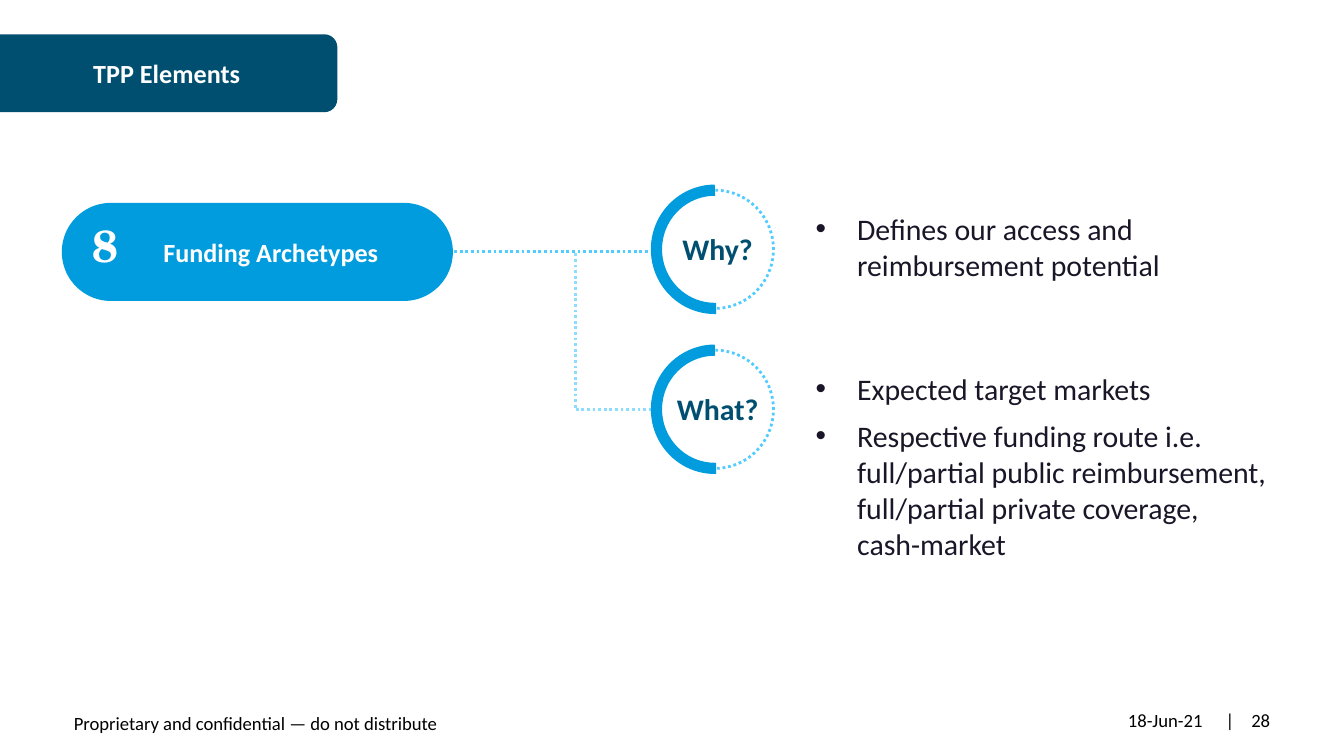
import pptx
import pptx.dml.color
import pptx.enum.dml
import pptx.enum.shapes
import pptx.enum.text
import pptx.oxml.ns
import pptx.util
from lxml import etree

PX = 4572  # EMU in one px, 200 px to the inch
COLOURS = {
    "navy": "004F71", "blue": "009CDE", "dots": "52CCFF", "pale dots": "8CDDFF",
    "ink": "1A1628", "black": "000000", "white": "FFFFFF",
}
SHAPE = pptx.enum.shapes.MSO_SHAPE
ALIGN = pptx.enum.text.PP_ALIGN
ANCHOR = pptx.enum.text.MSO_ANCHOR
AUTO_SIZE = pptx.enum.text.MSO_AUTO_SIZE
HANG = 62  # bullet indent


def emu(*lengths):
    return [pptx.util.Emu(length * PX) for length in lengths]


def rgb(colour):
    return pptx.dml.color.RGBColor.from_string(COLOURS[colour])


def add_child(parent, tag, **attributes):
    return etree.SubElement(parent, pptx.oxml.ns.qn(tag), **attributes)


def write(shape, *texts, size=16, colour="ink", font="Calibri", bold=False,
          align=ALIGN.LEFT, anchor=ANCHOR.TOP, insets=(20, 10, 20, 10),
          wrap=True, grow=False, bullet=False, space_after=0, tab=None):
    frame = shape.text_frame
    frame.word_wrap = wrap
    frame.auto_size = AUTO_SIZE.SHAPE_TO_FIT_TEXT if grow else AUTO_SIZE.NONE
    frame.vertical_anchor = anchor
    (frame.margin_left, frame.margin_top,
     frame.margin_right, frame.margin_bottom) = emu(*insets)
    for index, text in enumerate(texts):
        paragraph = frame.add_paragraph() if index else frame.paragraphs[0]
        paragraph.alignment = align
        paragraph.space_after = pptx.util.Pt(space_after)
        properties = paragraph._p.get_or_add_pPr()
        if bullet:
            properties.set("marL", str(HANG * PX))
            properties.set("indent", str(-HANG * PX))
            add_child(properties, "a:buFont", typeface="Arial")
            add_child(properties, "a:buChar", char="•")
        if tab:
            stops = add_child(properties, "a:tabLst")
            add_child(stops, "a:tab", pos=str(tab * PX), algn="l")
        run = paragraph.add_run()
        run.text = text
        run.font.name = font
        run.font.size = pptx.util.Pt(size)
        run.font.bold = bold
        run.font.color.rgb = rgb(colour)


def add_text(slide, box, *texts, **text_format):
    write(slide.shapes.add_textbox(*emu(*box)), *texts, **text_format)


def style_line(line, colour, width=1.5, dotted=True):
    line.color.rgb = rgb(colour)
    line.width = pptx.util.Pt(width)
    if dotted:
        line.dash_style = pptx.enum.dml.MSO_LINE.ROUND_DOT


def add_shape(shapes, preset, box, fill):
    shape = shapes.add_shape(preset, *emu(*box))
    shape.shadow.inherit = False
    shape.fill.solid()
    shape.fill.fore_color.rgb = rgb(fill)
    shape.line.fill.background()
    return shape


def add_dotted_connector(slide, start, end, colour, bent=False):
    kinds = pptx.enum.shapes.MSO_CONNECTOR
    kind = kinds.ELBOW if bent else kinds.STRAIGHT
    connector = slide.shapes.add_connector(kind, *emu(*start, *end))
    style_line(connector.line, colour)
    properties = connector._element.spPr
    add_child(properties, "a:effectLst")
    if bent:  # a single corner
        geometry = properties.find(pptx.oxml.ns.qn("a:prstGeom"))
        geometry.set("prst", "bentConnector2")


def build_title_tab(slide, box, title):
    left, top, width, height = box
    # The upright shape is turned so that its round corners face right
    shift = (width - height) // 2
    shape = add_shape(slide.shapes, SHAPE.ROUND_2_SAME_RECTANGLE,
                      (left + shift, top - shift, height, width), "navy")
    shape.rotation = 90
    write(shape, title, size=14, colour="white", bold=True,
          align=ALIGN.CENTER, anchor=ANCHOR.MIDDLE)
    shape.text_frame._txBody.bodyPr.set("vert", "vert270")


def build_element_pill(slide, box, number, name):
    left, top, _, _ = box
    pill = add_shape(slide.shapes, SHAPE.ROUNDED_RECTANGLE, box, "blue")
    pill.adjustments[0] = 0.5
    write(pill, name, size=14, colour="white", bold=True, align=ALIGN.CENTER,
          anchor=ANCHOR.MIDDLE, insets=(60, 10, 20, 10))
    add_text(slide, (left + 26, top + 12, 86, 100), number, size=24,
             font="TeX Gyre Schola", colour="white", bold=True,
             anchor=ANCHOR.MIDDLE, wrap=False, grow=True)


def build_question(slide, box, question, answers, space_after=0):
    left, top, width, height = box
    ring = (left, top, 176, 174)
    # Ring: white disc, dotted circle and thick left half
    group = slide.shapes.add_group_shape().shapes
    disc = add_shape(group, SHAPE.OVAL, (left + 14, top + 14, 148, 146), "white")
    circle = add_shape(group, SHAPE.OVAL, ring, "white")
    style_line(circle.line, "dots")
    arc = add_shape(group, SHAPE.ARC, ring, "white")
    arc.adjustments[0] = 107.3
    arc.adjustments[1] = 0
    style_line(arc.line, "blue", width=6, dotted=False)
    for part in (disc, circle, arc):
        part.rotation = 270
    # Question and its answers
    add_text(slide, (left + 2, top + 50, 180, 74), question, colour="navy",
             bold=True, align=ALIGN.CENTER, grow=True)
    add_text(slide, (left + 218, top + 20, width - 218, height - 20), *answers,
             bullet=True, space_after=space_after, grow=True)


def build_footer(slide, box, notice, date, page):
    left, top, width, height = box
    small = {"size": 10, "colour": "black"}
    add_text(slide, (left, top + 12, 668, 48), notice, anchor=ANCHOR.BOTTOM,
             insets=(0, 10, 0, 10), **small)
    add_text(slide, (left + width - 262, top, 172, height), date,
             align=ALIGN.CENTER, anchor=ANCHOR.MIDDLE, **small)
    add_text(slide, (left + width - 124, top, 124, height), f"|\t{page}",
             anchor=ANCHOR.MIDDLE, insets=(38, 10, 0, 10), tab=38, **small)


def main():
    presentation = pptx.Presentation()
    presentation.slide_width, presentation.slide_height = emu(2000, 1125)
    slide = presentation.slides.add_slide(presentation.slide_layouts[6])

    build_footer(slide, (110, 1042, 1800, 60),
                 "Proprietary and confidential — do not distribute", "18-Jun-21", 28)
    build_title_tab(slide, (0, 51, 502, 116), "TPP Elements")
    build_element_pill(slide, (92, 302, 582, 146), "8", "Funding Archetypes")

    # Branches from the pill to the two questions
    add_dotted_connector(slide, (676, 374), (1086, 374), "dots")
    add_dotted_connector(slide, (978, 610), (856, 374), "pale dots", bent=True)

    build_question(slide, (976, 284, 930, 148), "Why?",
                   ["Defines our access and reimbursement potential"])
    build_question(slide, (976, 522, 930, 326), "What?",
                   ["Expected target markets",
                    "Respective funding route i.e. full/partial public reimbursement, "
                    "full/partial private coverage, cash-market"],
                   space_after=6)

    presentation.save("out.pptx")


if __name__ == "__main__":
    main()
